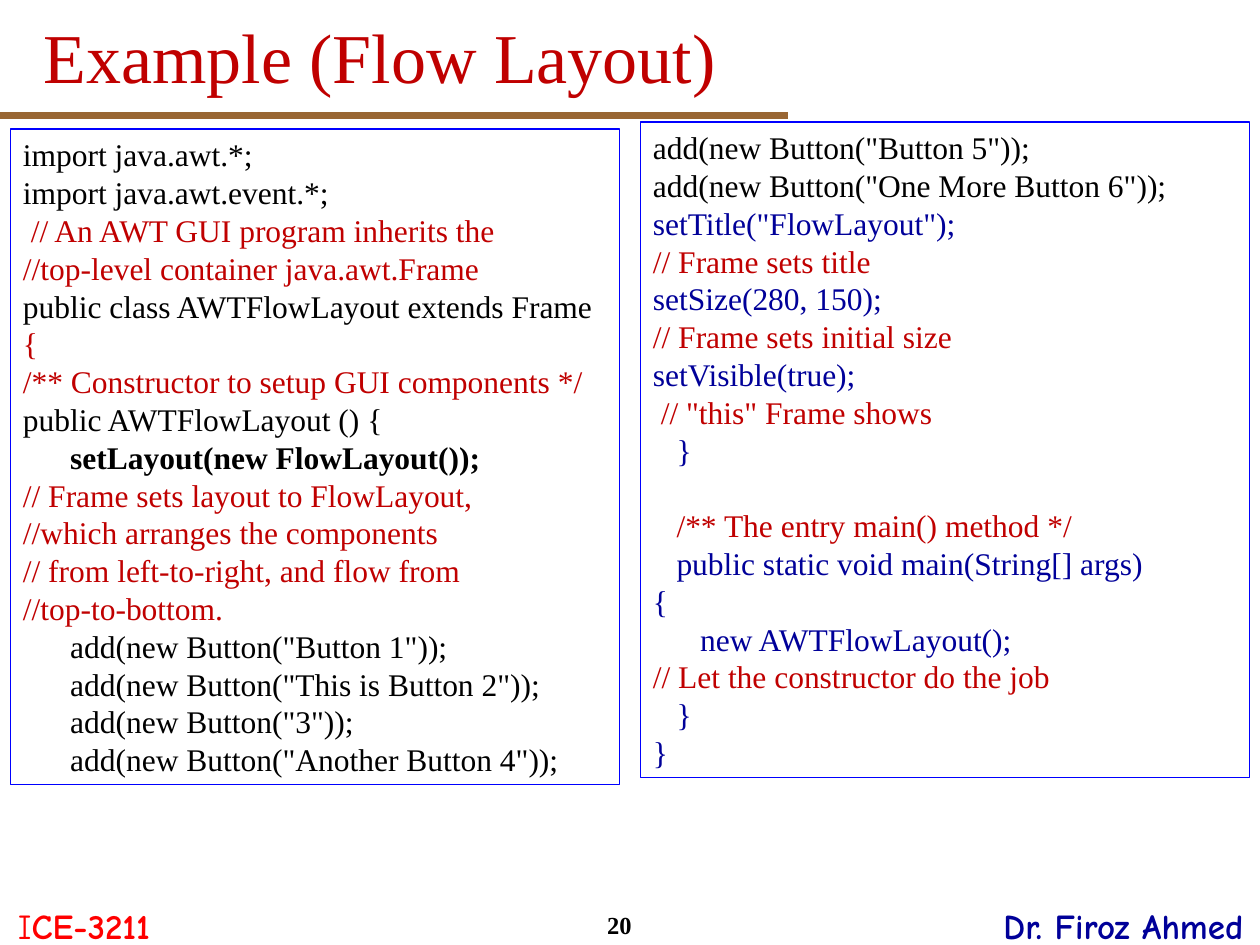
from lxml import etree
from pptx import Presentation
from pptx.dml.color import RGBColor
from pptx.enum.shapes import MSO_CONNECTOR, MSO_SHAPE
from pptx.enum.text import MSO_ANCHOR, MSO_AUTO_SIZE, PP_ALIGN
from pptx.oxml.ns import qn
from pptx.util import Pt

RED = RGBColor(0xC0, 0x00, 0x00)
BRIGHT_RED = RGBColor(0xFF, 0x00, 0x00)
NAVY = RGBColor(0x00, 0x00, 0x99)
BLUE = RGBColor(0x00, 0x00, 0xFF)
BLACK = RGBColor(0x00, 0x00, 0x00)
BROWN = RGBColor(0x99, 0x66, 0x33)

LEFT, CENTER = PP_ALIGN.LEFT, PP_ALIGN.CENTER
TOP, MIDDLE = MSO_ANCHOR.TOP, MSO_ANCHOR.MIDDLE
GROW = MSO_AUTO_SIZE.SHAPE_TO_FIT_TEXT
STRAIGHT, RECTANGLE = MSO_CONNECTOR.STRAIGHT, MSO_SHAPE.RECTANGLE

SERIF, COMIC = "Times New Roman", "Comic Neue"
CODE_SIZE = 18
LINE_PITCH = 21.6
COLUMN = CODE_SIZE / 4  # width of one code column

# Code lines: (indent in columns, lines skipped before, spans of text, colour, bold)
LEFT_CODE = [
    (0, 0, [("import java.awt.*;", BLACK, False)]),
    (0, 0, [("import java.awt.event.*;", BLACK, False)]),
    (1, 0, [("// An AWT GUI program inherits the", RED, False)]),
    (0, 0, [("//top-level container java.awt.Frame", RED, False)]),
    (0, 0, [("public class AWTFlowLayout extends Frame ", BLACK, False),
            ("{", RED, False)]),
    (0, 0, [("/** Constructor to setup GUI components */", RED, False)]),
    (0, 0, [("public AWTFlowLayout () {", BLACK, False)]),
    (6, 0, [("setLayout(new FlowLayout());", BLACK, True)]),
    (0, 0, [("// Frame sets layout to FlowLayout,", RED, False)]),
    (0, 0, [("//which arranges the components", RED, False)]),
    (0, 0, [("// from left-to-right, and flow from", RED, False)]),
    (0, 0, [("//top-to-bottom.", RED, False)]),
    (6, 0, [('add(new Button("Button 1"));', BLACK, False)]),
    (6, 0, [('add(new Button("This is Button 2"));', BLACK, False)]),
    (6, 0, [('add(new Button("3"));', BLACK, False)]),
    (6, 0, [('add(new Button("Another Button 4"));', BLACK, False)]),
]
RIGHT_CODE = [
    (0, 0, [('add(new Button("Button 5"));', BLACK, False)]),
    (0, 0, [('add(new Button("One More Button 6"));', BLACK, False)]),
    (0, 0, [('setTitle("FlowLayout");', NAVY, False)]),
    (0, 0, [("// Frame sets title", RED, False)]),
    (0, 0, [("setSize(280, 150);", NAVY, False)]),
    (0, 0, [("// Frame sets initial size", RED, False)]),
    (0, 0, [("setVisible(true);", NAVY, False)]),
    (1, 0, [('// "this" Frame shows', RED, False)]),
    (3, 0, [("}", NAVY, False)]),
    (3, 1, [("/** The entry main() method */", RED, False)]),
    (3, 0, [("public static void main(String[] args)", NAVY, False)]),
    (0, 0, [("{", NAVY, False)]),
    (6, 0, [("new AWTFlowLayout();", NAVY, False)]),
    (0, 0, [("// Let the constructor do the job", RED, False)]),
    (3, 0, [("}", NAVY, False)]),
    (0, 0, [("}", NAVY, False)]),
]


def format_frame(frame, anchor):
    values = {"word_wrap": True, "vertical_anchor": anchor,
              "margin_left": Pt(7.2), "margin_right": Pt(7.2),
              "margin_top": Pt(3.6), "margin_bottom": Pt(3.6)}
    for name, value in values.items():
        setattr(frame, name, value)


def add_spans(para, spans, font, size):
    for text, color, bold in spans:
        span = para.add_run()
        span.text = text
        for name, value in {"name": font, "size": Pt(size), "bold": bold}.items():
            setattr(span.font, name, value)
        span.font.color.rgb = color


def add_label(page, bounds, spans, font, size, align=CENTER, anchor=TOP):
    box = page.shapes.add_textbox(*map(Pt, bounds))
    format_frame(box.text_frame, anchor)
    para = box.text_frame.paragraphs[0]
    para.alignment = align
    add_spans(para, spans, font, size)


def add_rule(page, bounds):
    left, top, width, height = bounds
    rule = page.shapes.add_connector(
        STRAIGHT, Pt(left), Pt(top), Pt(left + width), Pt(top + height))
    rule.line.color.rgb = BROWN
    rule.line.width = Pt(4.5)
    etree.SubElement(rule._element.spPr, qn("a:effectLst"))


def add_code_box(page, bounds, lines, anchor):
    box = page.shapes.add_shape(RECTANGLE, *map(Pt, bounds))
    box.shadow.inherit = False
    box.fill.background()
    box.line.color.rgb = BLUE
    box.line.width = Pt(0.75)
    frame = box.text_frame
    format_frame(frame, anchor)
    frame.auto_size = GROW
    for index, (columns, skipped, spans) in enumerate(lines):
        para = frame.add_paragraph() if index else frame.paragraphs[0]
        para.alignment = LEFT
        para.space_before = Pt(skipped * LINE_PITCH)
        para._p.get_or_add_pPr().set("marL", str(Pt(columns * COLUMN)))
        add_spans(para, spans, SERIF, CODE_SIZE)


def add_footer(page, bounds):
    left, top, width, height = bounds
    course_width, author_width, number_width = 96, 156, 48
    add_label(page, (left, top, course_width, height),
              [("I", BRIGHT_RED, False), ("CE-3211", BRIGHT_RED, True)], COMIC, 20)
    add_label(page, (left + width - author_width, top, author_width, height),
              [("Dr. Firoz Ahmed", NAVY, True)], COMIC, 20)
    add_label(page, (left + 330, top + 3, number_width, 24),
              [("20", BLACK, True)], SERIF, 14)


def main():
    deck = Presentation()
    deck.slide_width, deck.slide_height = Pt(720), Pt(540)
    page = deck.slides.add_slide(deck.slide_layouts[6])

    # Heading
    add_rule(page, (0, 66, 450, 0))
    add_label(page, (18, -1.5, 684, 66), [("Example (Flow Layout)", RED, False)],
              SERIF, 40, LEFT, MIDDLE)

    # Code listing in two columns
    add_code_box(page, (6, 73.75, 348, 374.4), LEFT_CODE, MIDDLE)
    add_code_box(page, (366, 69.75, 348, 374.4), RIGHT_CODE, TOP)

    # Footer
    add_footer(page, (0, 513.25, 720, 55.5))

    deck.save("out.pptx")


if __name__ == "__main__":
    main()
